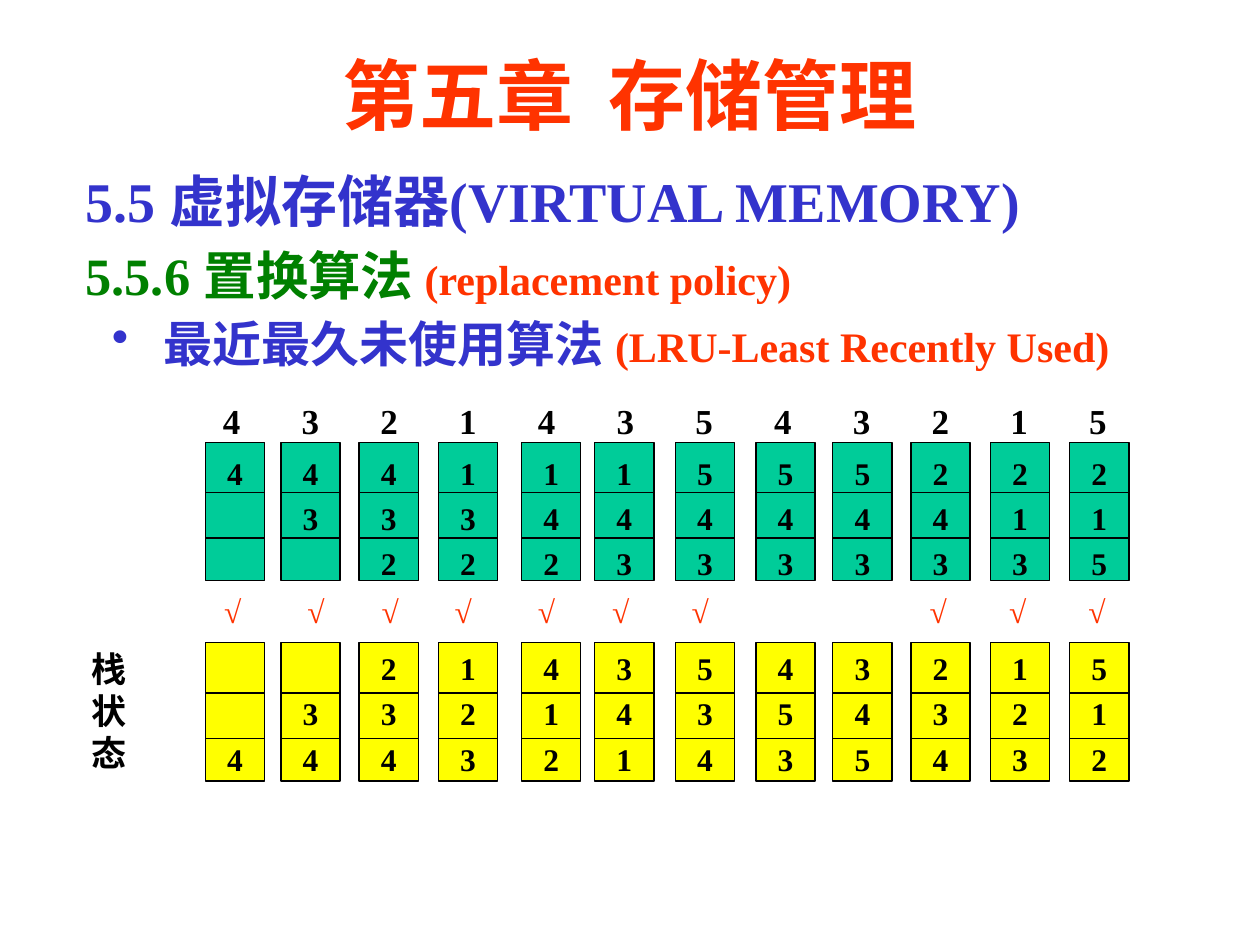
from lxml.etree import SubElement
from pptx import Presentation
from pptx.dml.color import RGBColor
from pptx.enum.shapes import MSO_CONNECTOR, MSO_SHAPE
from pptx.enum.text import MSO_ANCHOR, PP_ALIGN
from pptx.oxml.ns import qn
from pptx.util import Inches, Pt

RED, BLUE, GREEN, BLACK = "FF3300", "3333CC", "008000", "000000"
TEAL, YELLOW = "00CC99", "FFFF00"


def paint(color_format, value):
    color_format.rgb = RGBColor.from_string(value)


def apply(target, values):
    for key, value in values.items():
        setattr(target, key, value)


class LessonSlide:
    font_name = "Times New Roman"
    line_width = Pt(0.75)
    cell_size = 18

    def __init__(self, deck):
        self.slide = deck.slides.add_slide(deck.slide_layouts[6])

    def fill_paragraph(self, paragraph, runs, **layout):
        for words, size, color in runs:
            run = paragraph.add_run()
            run.text = words
            apply(run.font, {"name": self.font_name, "size": Pt(size), "bold": True})
            paint(run.font.color, color)
        apply(paragraph, layout)

    def text(self, left, top, width, height, runs, anchor=MSO_ANCHOR.TOP, **layout):
        box = self.slide.shapes.add_textbox(
            Inches(left), Inches(top), Inches(width), Inches(height))
        apply(box.text_frame, {"word_wrap": True, "vertical_anchor": anchor})
        self.fill_paragraph(box.text_frame.paragraphs[0], runs, **layout)
        return box.text_frame

    def bullet(self, paragraph, margin, indent):
        properties = paragraph._p.get_or_add_pPr()
        properties.set("marL", str(Inches(margin)))
        properties.set("indent", str(Inches(indent)))
        SubElement(properties, qn("a:buChar")).set("char", "•")

    def tabs(self, paragraph, pitch, count):
        stops = SubElement(paragraph._p.get_or_add_pPr(), qn("a:tabLst"))
        for step in range(1, count + 1):
            stop = SubElement(stops, qn("a:tab"))
            stop.set("pos", str(Inches(pitch * step)))
            stop.set("algn", "l")

    def divider(self, shapes, left, right, y):
        line = shapes.add_connector(
            MSO_CONNECTOR.STRAIGHT, Inches(left), Inches(y), Inches(right), Inches(y))
        line.line.width = self.line_width
        paint(line.line.color, BLACK)
        SubElement(line._element.spPr, qn("a:effectLst"))

    def frames(self, left, top, pages, fill, anchor):
        width, height = 0.47, 1.1
        shapes = self.slide.shapes.add_group_shape().shapes
        column = shapes.add_shape(
            MSO_SHAPE.RECTANGLE, Inches(left), Inches(top), Inches(width), Inches(height))
        column.shadow.inherit = False
        column.fill.solid()
        paint(column.fill.fore_color, fill)
        column.line.width = self.line_width
        paint(column.line.color, BLACK)
        frame = column.text_frame
        apply(frame, {"word_wrap": False, "vertical_anchor": anchor,
                      "margin_top": Inches(0.03), "margin_bottom": Inches(0.03)})
        for index, page in enumerate(pages):
            paragraph = frame.add_paragraph() if index else frame.paragraphs[0]
            self.fill_paragraph(paragraph, [(page, self.cell_size, BLACK)],
                                alignment=PP_ALIGN.CENTER, line_spacing=1.2)
        for offset in (0.4, 0.76):
            self.divider(shapes, left, left + width, top + offset)


def main():
    deck = Presentation()
    apply(deck, {"slide_width": Inches(10), "slide_height": Inches(7.5)})
    lesson = LessonSlide(deck)

    lesson.text(0.75, 0.28, 8.5, 0.92, [("第五章  存储管理", 44, RED)],
                anchor=MSO_ANCHOR.MIDDLE, alignment=PP_ALIGN.CENTER)

    outline = lesson.text(0.58, 1.25, 8.83, 1.87,
                          [("5.5 虚拟存储器(VIRTUAL MEMORY)", 32, BLUE)], line_spacing=1.05)
    section = outline.add_paragraph()
    lesson.fill_paragraph(section, [("5.5.6 置换算法", 30, GREEN), (" ", 28, BLACK),
                                    ("(replacement policy)", 24, RED)],
                          line_spacing=1.05, space_before=Pt(3))
    algorithm = outline.add_paragraph()
    lesson.bullet(algorithm, 0.62, -0.41)
    lesson.fill_paragraph(algorithm, [("最近最久未使用算法 ", 28, BLUE),
                                      ("(LRU-Least Recently Used)", 24, RED)],
                          line_spacing=1.05, space_before=Pt(3))

    requests = "432143543215"
    reference = lesson.text(1.67, 3.12, 7.4, 0.43, [("\t".join(requests), 20, BLACK)])
    lesson.tabs(reference.paragraphs[0], 7.5 / len(requests), len(requests) - 1)

    lefts = [1.63, 2.23, 2.85, 3.48, 4.14, 4.72, 5.36, 6, 6.61, 7.23, 7.86, 8.49]
    memory = "4 43 432 132 142 143 543 543 543 243 213 215".split()
    stack = "4 34 234 123 412 341 534 453 345 234 123 512".split()
    for left, resident, recency in zip(lefts, memory, stack):
        lesson.frames(left, 3.51, resident, TEAL, MSO_ANCHOR.TOP)
        lesson.frames(left, 5.1, recency, YELLOW, MSO_ANCHOR.BOTTOM)

    for fault in (1.68, 2.34, 2.93, 3.51, 4.17, 4.76, 5.39, 7.28, 7.91, 8.54):
        lesson.text(fault, 4.65, 0.39, 0.4, [("√", 18, RED)])
    lesson.text(0.59, 5.09, 0.55, 1.1, [("栈状态", 20, BLACK)], alignment=PP_ALIGN.CENTER)

    deck.save("out.pptx")


if __name__ == "__main__":
    main()
